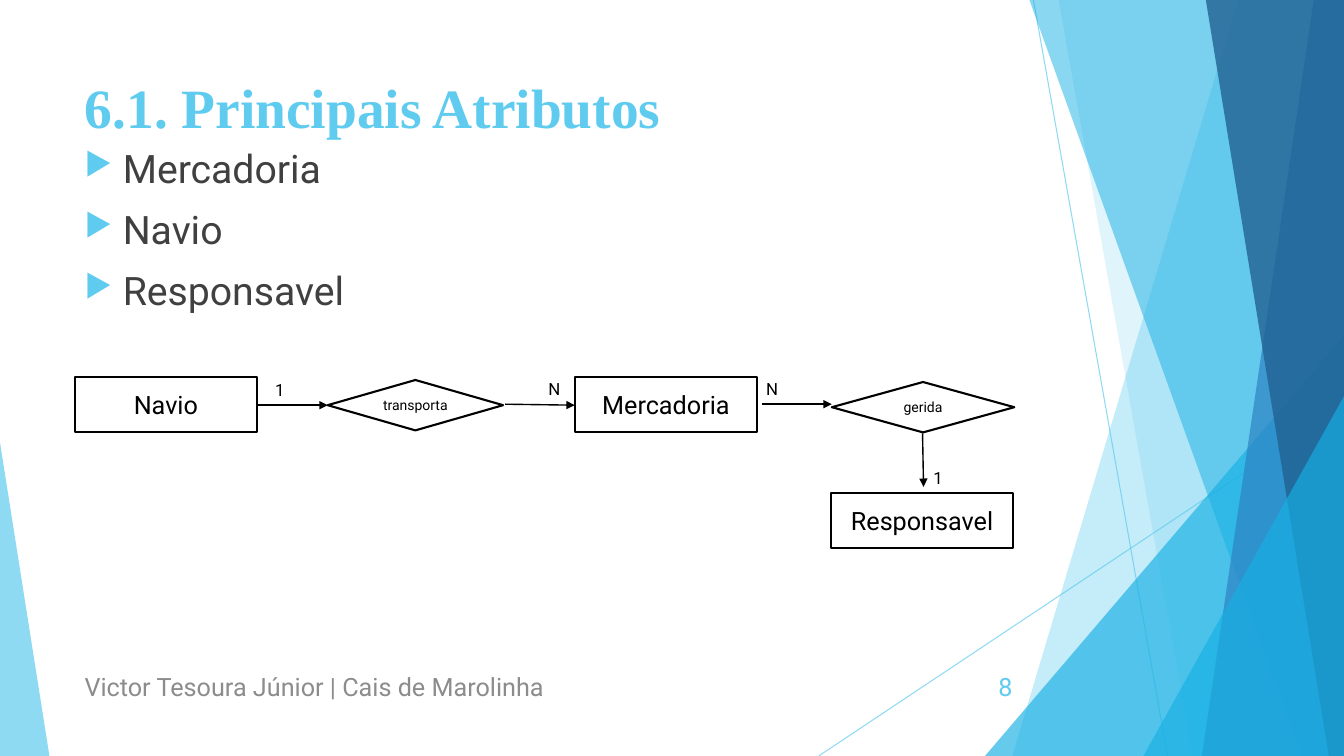
from dataclasses import dataclass

from lxml.etree import SubElement
from pptx import Presentation
from pptx.dml.color import RGBColor
from pptx.enum.shapes import MSO_CONNECTOR, MSO_SHAPE
from pptx.enum.text import MSO_ANCHOR, MSO_AUTO_SIZE, PP_ALIGN
from pptx.oxml.ns import qn
from pptx.util import Inches, Pt

COLORS = {
    "sky": "5FCBEF", "cyan": "17B0E4", "blue": "2E83C3", "navy": "226292",
    "text": "404040", "gray": "8C8C8C", "black": "000000", "white": "FFFFFF",
}
WIDE, HIGH = 13.33, 7.5
FONT = "Roboto"


@dataclass
class Band:
    """A see-through strip that ends at the right edge of the slide."""
    top: float
    foot: float
    color: str
    alpha: int


@dataclass
class Wedge:
    """A see-through triangle standing on the bottom edge."""
    left: float
    top: float
    width: float
    lean: float
    color: str
    alpha: int


@dataclass
class Node:
    """An entity or a relation of the diagram."""
    text: str
    kind: MSO_SHAPE
    left: float
    top: float
    width: float = 1.81


@dataclass
class Link:
    """A line between two points."""
    start: tuple[float, float]
    end: tuple[float, float]


@dataclass
class Label:
    """A line of text in a box."""
    text: str
    left: float
    top: float
    width: float
    height: float = 0.3
    size: float = 12
    color: str = "black"


BACK = [
    Band(12.28, 10.04, "sky", 36), Band(10.5, 11.83, "sky", 20),
    Wedge(9.77, 3.33, 3.56, 1, "cyan", 66),
    Band(10.21, 12.91, "cyan", 50), Band(13.03, 11.92, "blue", 70),
    Band(11.96, 13.18, "navy", 80),
    Wedge(11.34, 3.93, 1.99, 1, "cyan", 66), Wedge(0, 4.39, 0.49, 0, "sky", 70),
]
RAYS = [Link((10.25, 0), (11.58, HIGH)), Link((WIDE, 4.03), (8.12, HIGH))]
ITEMS = ["Mercadoria", "Navio", "Responsavel"]
BOX, GEM = MSO_SHAPE.RECTANGLE, MSO_SHAPE.DIAMOND
NODES = [
    Node("Navio", BOX, 0.74, 3.74), Node("Mercadoria", BOX, 5.7, 3.74),
    Node("Responsavel", BOX, 8.24, 4.89),
    Node("transporta", GEM, 3.25, 3.77, 1.74), Node("gerida", GEM, 8.25, 3.79),
]
LINKS = [
    Link((2.55, 4.02), (3.25, 4.02)), Link((5.01, 4.01), (5.7, 4.02)),
    Link((7.56, 4.01), (8.25, 4.01)), Link((9.15, 4.3), (9.16, 4.83)),
]
COUNTS = [
    Label("1", 2.63, 3.72, 0.29), Label("N", 5.34, 3.71, 0.31),
    Label("1", 9.16, 4.59, 0.29), Label("N", 7.5, 3.71, 0.31),
]
AUTHOR = Label("Victor Tesoura Júnior | Cais de Marolinha",
               0.74, 6.61, 6.89, 0.4, 18, "gray")
NUMBER = Label("8", 9.39, 6.61, 0.75, 0.4, 18, "sky")


def rgb(name: str) -> RGBColor:
    """Look up a colour."""
    return RGBColor.from_string(COLORS[name])


def fade(shape, alpha: int) -> None:
    """Make the first colour of a shape see-through."""
    tint = next(shape._element.spPr.iter(qn("a:srgbClr")))
    SubElement(tint, qn("a:alpha"), val=str(alpha * 1000))


def style(part, size: float, color: str, font: str = FONT) -> None:
    """Format the runs of a paragraph."""
    for run in part.runs:
        run.font.size, run.font.name = Pt(size), font
        run.font.color.rgb = rgb(color)


def draw_back(slide, item: Band | Wedge) -> None:
    """Draw a band or a wedge of the backdrop."""
    if isinstance(item, Band):
        pen = slide.shapes.build_freeform(Inches(item.top), 0)
        pen.add_line_segments([
            (Inches(x), Inches(y)) for x, y in
            [(WIDE, 0), (WIDE, HIGH), (item.foot, HIGH)]])
        shape = pen.convert_to_shape()
    else:
        shape = slide.shapes.add_shape(
            MSO_SHAPE.ISOSCELES_TRIANGLE, Inches(item.left), Inches(item.top),
            Inches(item.width), Inches(HIGH - item.top))
        shape.adjustments[0] = item.lean
    shape.shadow.inherit = False
    shape.fill.solid()
    shape.fill.fore_color.rgb = rgb(item.color)
    shape.line.fill.background()
    fade(shape, item.alpha)


def draw_link(slide, link: Link, color: str, width: float):
    """Draw a straight line without shadow."""
    line = slide.shapes.add_connector(
        MSO_CONNECTOR.STRAIGHT, *map(Inches, link.start + link.end))
    line.line.color.rgb = rgb(color)
    line.line.width = Pt(width)
    SubElement(line._element.spPr, qn("a:effectLst"))
    return line


def draw_node(slide, node: Node) -> None:
    """Draw an entity box or a relation diamond."""
    box = node.kind == BOX
    shape = slide.shapes.add_shape(
        node.kind, Inches(node.left), Inches(node.top),
        Inches(node.width), Inches(0.55 if box else 0.5))
    shape.shadow.inherit = False
    shape.fill.solid()
    shape.fill.fore_color.rgb = rgb("white")
    shape.line.color.rgb = rgb("black")
    shape.line.width = Pt(1.5)
    frame = shape.text_frame
    frame.text = node.text
    frame.vertical_anchor = MSO_ANCHOR.MIDDLE
    frame.paragraphs[0].alignment = PP_ALIGN.CENTER
    style(frame.paragraphs[0], 18 if box else 10, "black")


def draw_label(slide, label: Label):
    """Write a label and return its frame."""
    frame = slide.shapes.add_textbox(
        Inches(label.left), Inches(label.top),
        Inches(label.width), Inches(label.height)).text_frame
    frame.text = label.text
    style(frame.paragraphs[0], label.size, label.color)
    return frame


def draw_title(slide, text: str) -> None:
    """Place and format the title."""
    title = slide.shapes.title
    title.left, title.top = Inches(0.74), Inches(0.67)
    title.width, title.height = Inches(9.4), Inches(0.82)
    frame = title.text_frame
    frame.text = text
    frame.auto_size = MSO_AUTO_SIZE.NONE
    frame.vertical_anchor = MSO_ANCHOR.TOP
    part = frame.paragraphs[0]
    part.alignment = PP_ALIGN.LEFT
    style(part, 39.6, "sky", "Times New Roman")
    part.runs[0].font.bold = True


def draw_list(slide, items: list[str]) -> None:
    """Write the bullet list."""
    frame = slide.shapes.add_textbox(
        Inches(0.74), Inches(1.38), Inches(9.4), Inches(5.23)).text_frame
    frame.word_wrap = True
    frame.text = "\n".join(items)
    for part in frame.paragraphs:
        part.alignment = PP_ALIGN.JUSTIFY
        part.space_before = Pt(10)
        style(part, 28, "text")
        props = part._p.get_or_add_pPr()
        props.set("marL", str(Inches(0.38)))
        props.set("indent", str(Inches(-0.38)))
        tint = SubElement(props, qn("a:buClr"))
        SubElement(tint, qn("a:srgbClr"), val=COLORS["sky"])
        SubElement(props, qn("a:buSzPct"), val="80000")
        SubElement(props, qn("a:buChar"), char="▶")


def main() -> None:
    """Build and save the slide."""
    deck = Presentation()
    deck.slide_width, deck.slide_height = Inches(WIDE), Inches(HIGH)
    slide = deck.slides.add_slide(deck.slide_layouts[5])
    for ray in RAYS:
        fade(draw_link(slide, ray, "sky", 0.75), 70)
    for item in BACK:
        draw_back(slide, item)
    draw_title(slide, "6.1. Principais Atributos")
    draw_list(slide, ITEMS)
    for label, side in [(AUTHOR, PP_ALIGN.LEFT), (NUMBER, PP_ALIGN.RIGHT)]:
        frame = draw_label(slide, label)
        frame.word_wrap = True
        frame.vertical_anchor = MSO_ANCHOR.MIDDLE
        frame.paragraphs[0].alignment = side
    for node in NODES:
        draw_node(slide, node)
    for link in LINKS:
        line = draw_link(slide, link, "black", 1)
        SubElement(line.line._get_or_add_ln(), qn("a:tailEnd"), type="triangle")
    for count in COUNTS:
        frame = draw_label(slide, count)
        frame.word_wrap = False
        frame.auto_size = MSO_AUTO_SIZE.SHAPE_TO_FIT_TEXT
    deck.save("out.pptx")


main()
